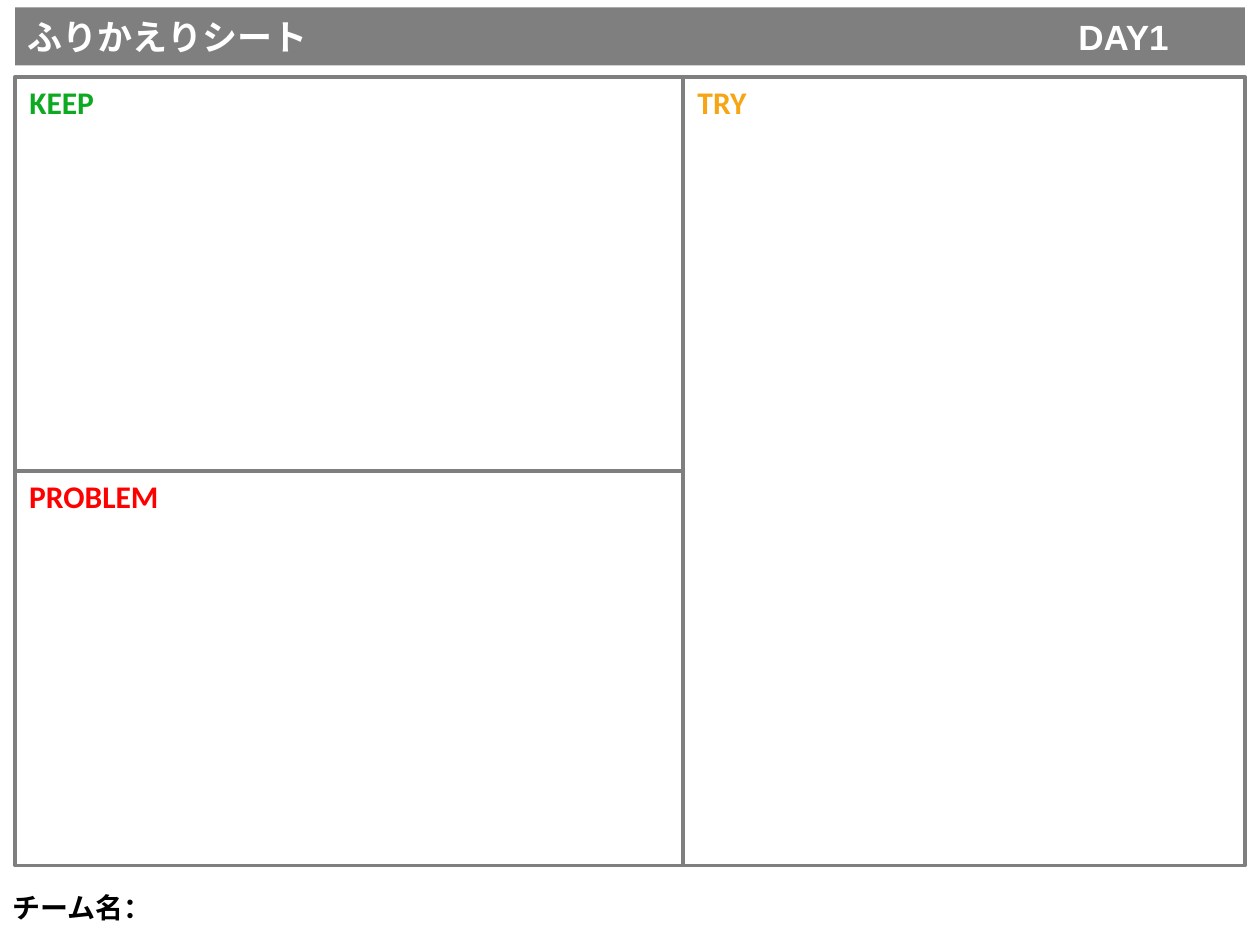
"""Build a KEEP / PROBLEM / TRY retrospective sheet."""
from lxml import etree
from pptx import Presentation
from pptx.dml.color import RGBColor
from pptx.enum.shapes import MSO_CONNECTOR, MSO_SHAPE
from pptx.enum.text import MSO_ANCHOR, PP_ALIGN
from pptx.oxml.ns import qn
from pptx.util import Inches, Pt

RECT = MSO_SHAPE.RECTANGLE
STRAIGHT = MSO_CONNECTOR.STRAIGHT
MIDDLE = MSO_ANCHOR.MIDDLE
LEFT, CENTER = PP_ALIGN.LEFT, PP_ALIGN.CENTER

THEME = {
    "gray": RGBColor(0x7F, 0x7F, 0x7F),
    "white": RGBColor(0xFF, 0xFF, 0xFF),
    "black": RGBColor(0, 0, 0),
    "keep": RGBColor(0x0D, 0xA9, 0x21),
    "problem": RGBColor(0xFF, 0, 0),
    "try": RGBColor(0xF6, 0xA6, 0x15),
    "title_size": Pt(20),
    "label_size": Pt(18),
    "team_size": Pt(16),
    "line": Pt(2.25),
}


def add_text(shape, text, size, font, color, align):
    p = shape.text_frame.paragraphs[0]
    p.alignment = align
    r = p.add_run()
    r.text = text
    r.font.size = THEME[size]
    r.font.name = font
    r.font.bold = True
    r.font.color.rgb = THEME[color]
    return p


left, top, width, height = 0.12, 0.61, 9.76, 6.26
split_x, split_y = 5.42, top + height / 2

prs = Presentation()
prs.slide_width, prs.slide_height = Inches(10), Inches(7.5)
s = prs.slides.add_slide(prs.slide_layouts[6])

header = s.shapes.add_shape(RECT, Inches(left), Inches(0.06), Inches(width), Inches(0.46))
header.shadow.inherit = False
header.fill.solid()
header.fill.fore_color.rgb = THEME["gray"]
header.line.fill.background()
header.text_frame.vertical_anchor = MIDDLE
p = add_text(header, "ふりかえりシート\tDAY1", "title_size", "Arial", "white", LEFT)
tabs = etree.SubElement(p._p.get_or_add_pPr(), qn("a:tabLst"))
etree.SubElement(tabs, qn("a:tab"), pos=str(Inches(8.34)), algn="l")

team = s.shapes.add_textbox(Inches(0), Inches(7.02), Inches(1.37), Inches(0.37))
team.text_frame.word_wrap = False
add_text(team, "チーム名：", "team_size", "Arial", "black", LEFT)

frame = s.shapes.add_shape(RECT, Inches(left), Inches(top), Inches(width), Inches(height))
frame.shadow.inherit = False
frame.fill.solid()
frame.fill.fore_color.rgb = THEME["white"]
frame.line.color.rgb = THEME["gray"]
frame.line.width = THEME["line"]

dividers = []
for x1, y1, x2, y2 in [
    (split_x, top, split_x, top + height),
    (left, split_y, split_x, split_y),
]:
    line = s.shapes.add_connector(STRAIGHT, Inches(x1), Inches(y1), Inches(x2), Inches(y2))
    line.line.color.rgb = THEME["gray"]
    line.line.width = THEME["line"]
    etree.SubElement(line._element.spPr, qn("a:effectLst"))
    dividers.append(line)
dividers[1].begin_connect(frame, 1)

for text, x, y, w in [
    ("KEEP", left, top, 0.74),
    ("PROBLEM", left, split_y, 1.25),
    ("TRY", split_x, top, 0.62),
]:
    label = s.shapes.add_textbox(Inches(x), Inches(y), Inches(w), Inches(0.4))
    label.text_frame.word_wrap = False
    add_text(label, text, "label_size", "Calibri", text.lower(), CENTER)

prs.save("out.pptx")
